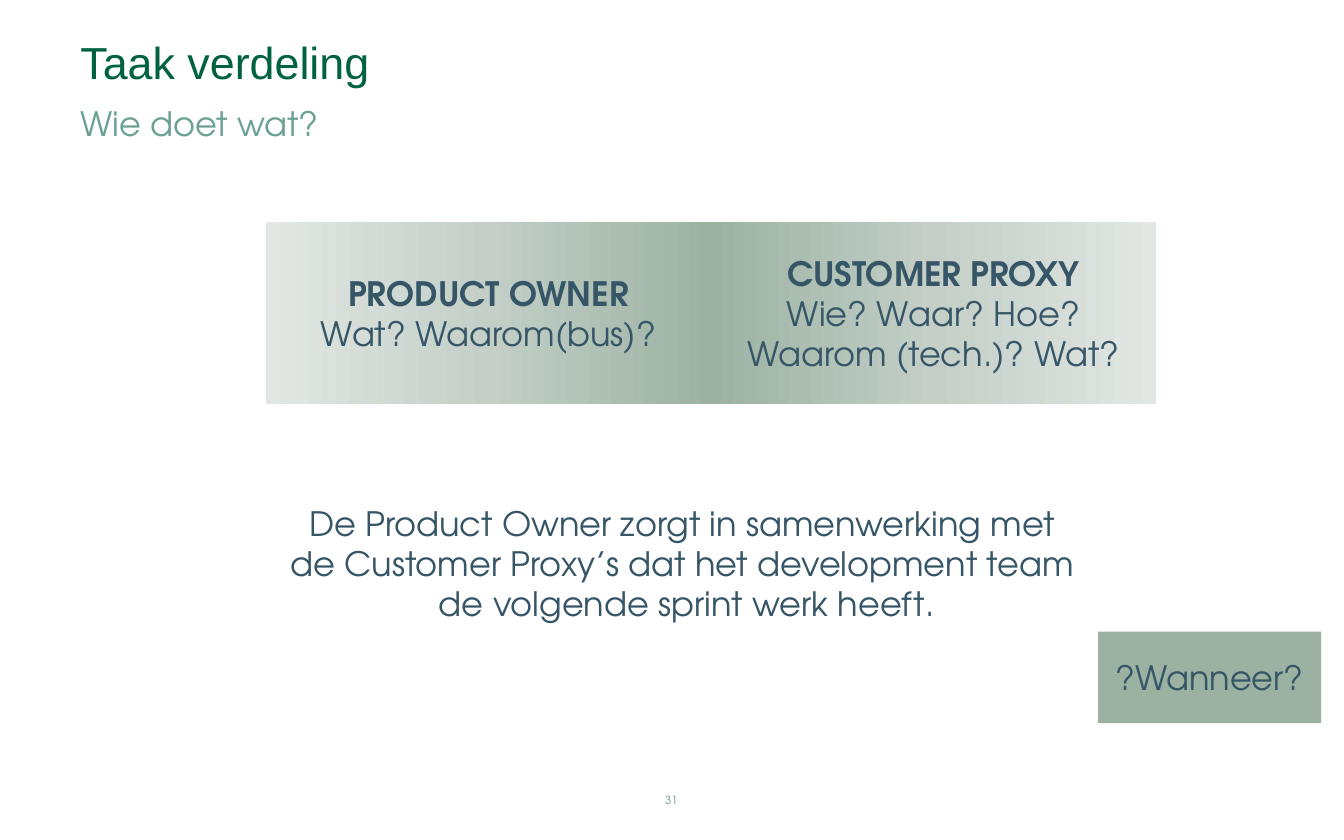
from copy import deepcopy

from pptx import Presentation
from pptx.dml.color import RGBColor
from pptx.enum import shapes, text
from pptx.util import Inches, Pt

HEAD_FONT, BODY_FONT = "Arial", "TeX Gyre Adventor"
INK, SAGE = "365566", "9BB2A3"
FADE = [(0, SAGE), (0.5, "C3CFC7"), (1, "E2E7E4")]
LEFT, CENTER = text.PP_ALIGN.LEFT, text.PP_ALIGN.CENTER
TOP, MIDDLE, BOTTOM = (text.MSO_ANCHOR.TOP, text.MSO_ANCHOR.MIDDLE,
                       text.MSO_ANCHOR.BOTTOM)


def color(value):
    return RGBColor.from_string(value)


def write(shape, lines, ink=INK, size=18, font=BODY_FONT, align=CENTER,
          anchor=MIDDLE, bold_first=False):
    """Fill a shape with one paragraph per line."""
    frame = shape.text_frame
    frame.word_wrap = True
    frame.vertical_anchor = anchor
    for index, line in enumerate(lines):
        para = frame.add_paragraph() if index else frame.paragraphs[0]
        para.alignment = align
        span = para.add_run()
        span.text = line
        span.font.color.rgb = color(ink)
        formats = {"name": font, "size": Pt(size),
                   "bold": bold_first and index == 0}
        for name, value in formats.items():
            setattr(span.font, name, value)


def add_label(page, place, lines, **formats):
    box = page.shapes.add_textbox(*map(Inches, place))
    write(box, lines, **formats)


def add_panel(page, place, lines, angle=None, **formats):
    """Add a borderless rectangle, solid or fading along the given angle."""
    panel = page.shapes.add_shape(shapes.MSO_SHAPE.RECTANGLE,
                                  *map(Inches, place))
    panel.shadow.inherit = False
    panel.line.fill.background()
    if angle is None:
        panel.fill.solid()
        panel.fill.fore_color.rgb = color(SAGE)
    else:
        fade(panel.fill, angle)
    write(panel, lines, **formats)


def fade(fill, angle):
    fill.gradient()
    fill.gradient_angle = angle
    # A new gradient has two stops; the third is a copy of the last
    last = fill._fill._gradFill.gsLst[-1]
    last.addnext(deepcopy(last))
    for stop, (position, value) in zip(fill.gradient_stops, FADE):
        stop.position = position
        stop.color.rgb = color(value)


def main():
    deck = Presentation()
    deck.slide_width, deck.slide_height = Inches(10), Inches(6.25)
    page = deck.slides.add_slide(deck.slide_layouts[6])

    # Heading and page number
    add_label(page, (0.5, 0.21, 7.54, 0.5), ["Taak verdeling"], ink="00633E",
              size=24, font=HEAD_FONT, align=LEFT, anchor=BOTTOM)
    add_label(page, (0.5, 0.72, 7.54, 0.4), ["Wie doet wat?"], ink="6AA193",
              align=LEFT, anchor=TOP)
    add_label(page, (4.74, 5.79, 0.51, 0.33), ["31"], ink="639786", size=6)

    # Explanation
    add_label(page, (1.22, 3.69, 7.78, 1.01), [
        "De Product Owner zorgt in samenwerking met ",
        "de Customer Proxy’s dat het development team ",
        "de volgende sprint werk heeft."], anchor=TOP)

    # Two roles side by side, each fading outwards from the shared edge
    roles = [(180, ["PRODUCT OWNER", "Wat? Waarom(bus)?"]),
             (0, ["CUSTOMER PROXY", "Wie? Waar? Hoe? Waarom (tech.)? Wat?"])]
    width = 3.31
    for index, (angle, lines) in enumerate(roles):
        add_panel(page, (1.98 + index * width, 1.65, width, 1.36), lines,
                  angle=angle, bold_first=True)

    # Open question
    add_panel(page, (8.17, 4.7, 1.66, 0.68), ["?Wanneer?"])

    deck.save("out.pptx")


if __name__ == "__main__":
    main()
